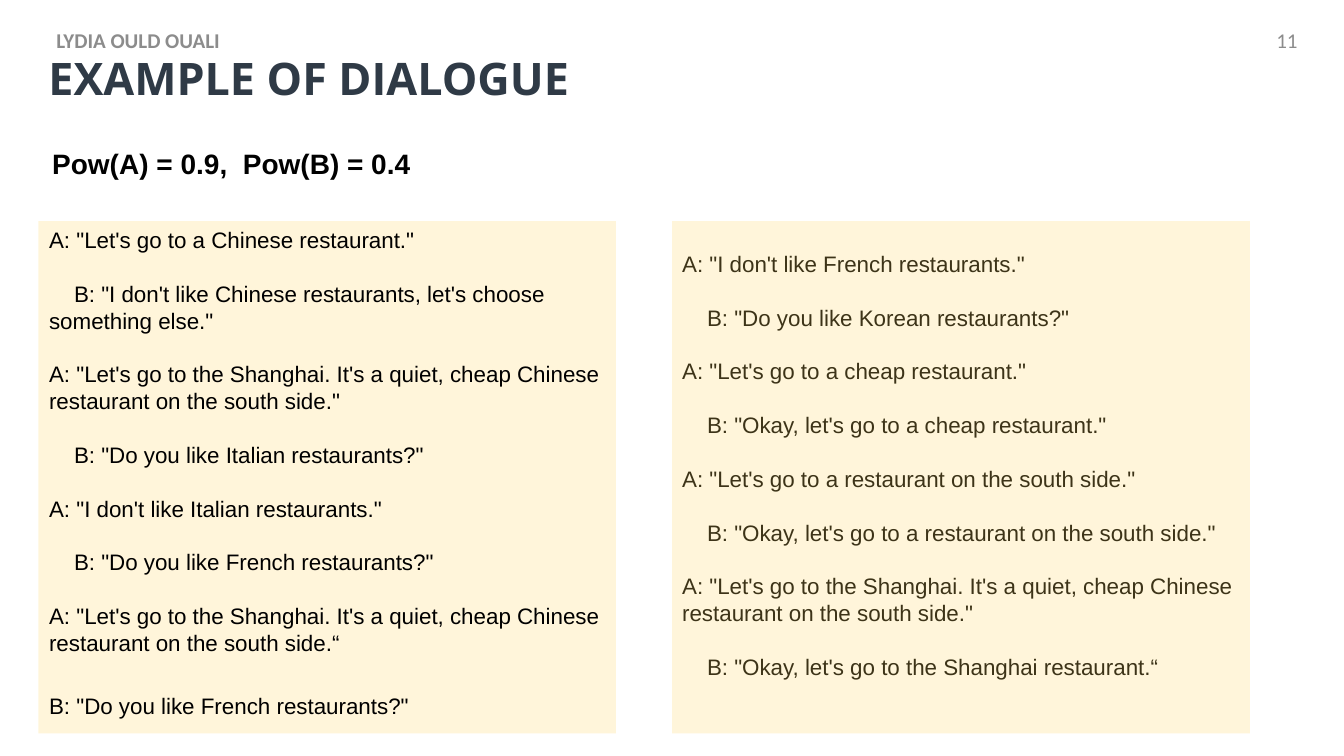
from dataclasses import dataclass
from lxml.etree import SubElement
from pptx import Presentation
from pptx.dml.color import RGBColor
from pptx.enum.shapes import MSO_SHAPE
from pptx.enum.text import MSO_ANCHOR, PP_ALIGN
from pptx.oxml.ns import qn
from pptx.util import Pt


@dataclass(frozen=True)
class Theme:
    head = dict(name="Open Sans", size=Pt(32), bold=True, color="2F3A46")
    sub = dict(name="Arial", size=Pt(20), bold=True, color="000000")
    body = dict(name="Arial", size=Pt(16), bold=False, color="000000")
    author = dict(name="Calibri", size=Pt(15), bold=True, color="8C8C8C")
    number = dict(name="Calibri", size=Pt(15), bold=False, color="8C8C8C")
    panel = "FFD966"
    alpha = 24
    line = 19.2
    indent = 17.8


THEME = Theme()

LEFT = [
    "A: \"Let's go to a Chinese restaurant.\"",
    "B: \"I don't like Chinese restaurants, let's choose something else.\"",
    "A: \"Let's go to the Shanghai. It's a quiet, cheap Chinese restaurant on the south side.\"",
    "B: \"Do you like Italian restaurants?\"",
    "A: \"I don't like Italian restaurants.\"",
    "B: \"Do you like French restaurants?\"",
    "A: \"Let's go to the Shanghai. It's a quiet, cheap Chinese restaurant on the south side.“",
]
LAST = "B: \"Do you like French restaurants?\""
RIGHT = [
    "A: \"I don't like French restaurants.\"",
    "B: \"Do you like Korean restaurants?\"",
    "A: \"Let's go to a cheap restaurant.\"",
    "B: \"Okay, let's go to a cheap restaurant.\"",
    "A: \"Let's go to a restaurant on the south side.\"",
    "B: \"Okay, let's go to a restaurant on the south side.\"",
    "A: \"Let's go to the Shanghai. It's a quiet, cheap Chinese restaurant on the south side.\"",
    "B: \"Okay, let's go to the Shanghai restaurant.“",
]


def style(para, form):
    for key, value in form.items():
        if key == "color":
            para.font.color.rgb = RGBColor.from_string(value)
        else:
            setattr(para.font, key, value)


def add_box(slide, box):
    frame = slide.shapes.add_textbox(*map(Pt, box)).text_frame
    frame.word_wrap = True
    return frame


def add_label(slide, box, text, form, align):
    frame = add_box(slide, box)
    frame.vertical_anchor = MSO_ANCHOR.MIDDLE
    para = frame.paragraphs[0]
    para.text, para.alignment = text, align
    style(para, form)


def add_title(slide, box, text):
    title = slide.shapes.title
    title.left, title.top, title.width, title.height = map(Pt, box)
    frame = title.text_frame
    frame.word_wrap = True
    frame.vertical_anchor = MSO_ANCHOR.MIDDLE
    para = frame.paragraphs[0]
    para.text, para.alignment, para.line_spacing = text, PP_ALIGN.LEFT, 0.9
    style(para, THEME.head)


def add_panel(slide, box):
    panel = slide.shapes.add_shape(MSO_SHAPE.RECTANGLE, *map(Pt, box))
    panel.shadow.inherit = False
    panel.line.fill.background()
    panel.fill.solid()
    panel.fill.fore_color.rgb = RGBColor.from_string(THEME.panel)
    # Translucent fill
    tint = panel.fill._xPr.find(".//" + qn("a:srgbClr"))
    SubElement(tint, qn("a:alpha"), val=str(THEME.alpha * 1000))


def add_turn(frame, text, gap, indent):
    first = not frame.text
    para = frame.paragraphs[0] if first else frame.add_paragraph()
    para.text, para.alignment = text, PP_ALIGN.LEFT
    para.line_spacing = Pt(THEME.line)
    if not first:
        para.space_before = Pt(gap)
    if indent:
        props = para._p.get_or_add_pPr()
        props.set("marL", "0")
        props.set("indent", str(int(Pt(indent))))
    style(para, THEME.body)


def add_talk(slide, box, turns):
    frame = add_box(slide, box)
    for text in turns:
        add_turn(frame, text, THEME.line, THEME.indent if text.startswith("B") else 0)
    return frame


def add_slide(deck):
    slide = deck.slides.add_slide(deck.slide_layouts[5])
    wide, high, top = 412.6, 365.8, 158

    # Header
    add_title(slide, (27.4, 15.8, 828, 83.5), "EXAMPLE OF DIALOGUE")
    add_label(slide, (27, 14.4, 137.2, 28.8), "LYDIA OULD OUALI", THEME.author, PP_ALIGN.RIGHT)
    add_label(slide, (718, 14.4, 216, 28.8), "11", THEME.number, PP_ALIGN.RIGHT)
    add_label(slide, (27.4, 96.5, 275.8, 39.6), "Pow(A) = 0.9,  Pow(B) = 0.4", THEME.sub, PP_ALIGN.CENTER)

    # Left dialogue, text above its panel
    add_panel(slide, (27.4, top, wide, high))
    talk = add_talk(slide, (28, top, 427, high), LEFT)
    add_turn(talk, LAST, 25.8, 0)

    # Right dialogue, text tinted by the panel over it
    add_talk(slide, (480.2, top + 17, 452, 356), RIGHT)
    add_panel(slide, (480.2, top, wide, high))


def main():
    deck = Presentation()
    deck.slide_width, deck.slide_height = Pt(960), Pt(540)
    add_slide(deck)
    deck.save("out.pptx")


if __name__ == "__main__":
    main()
